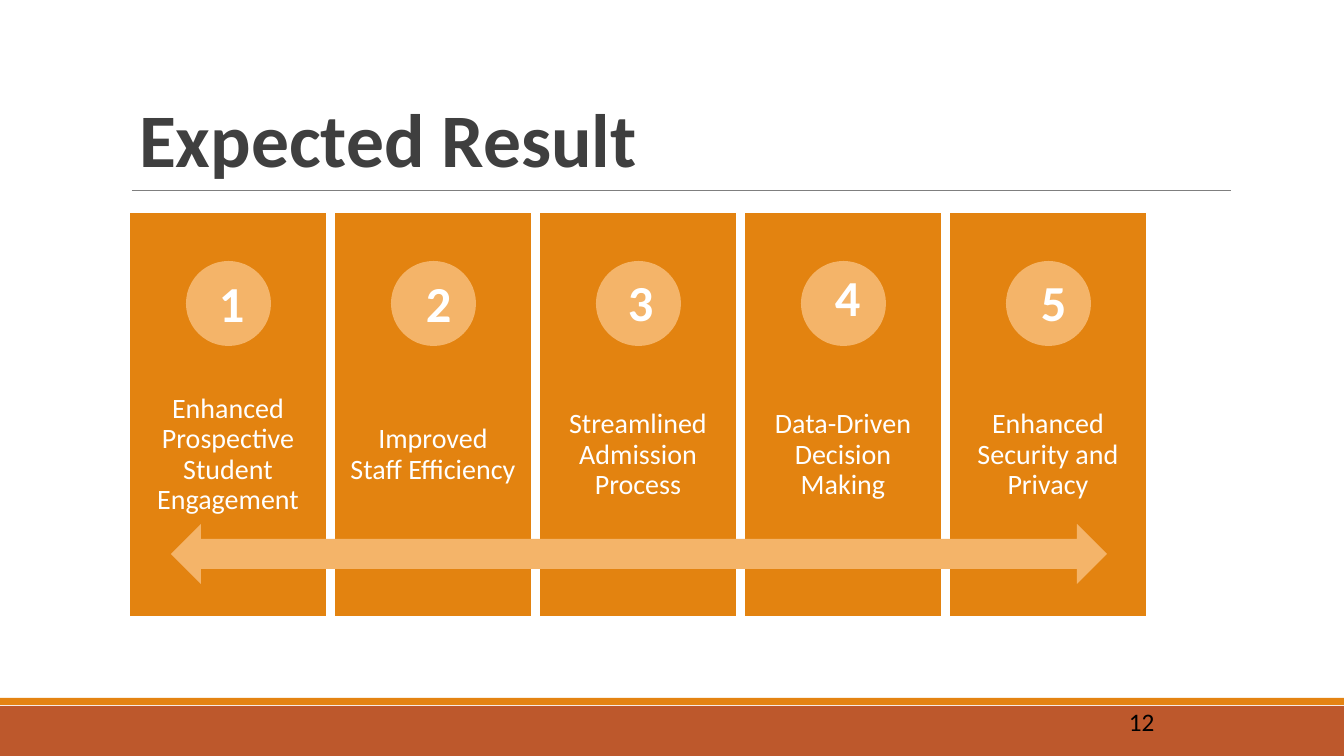
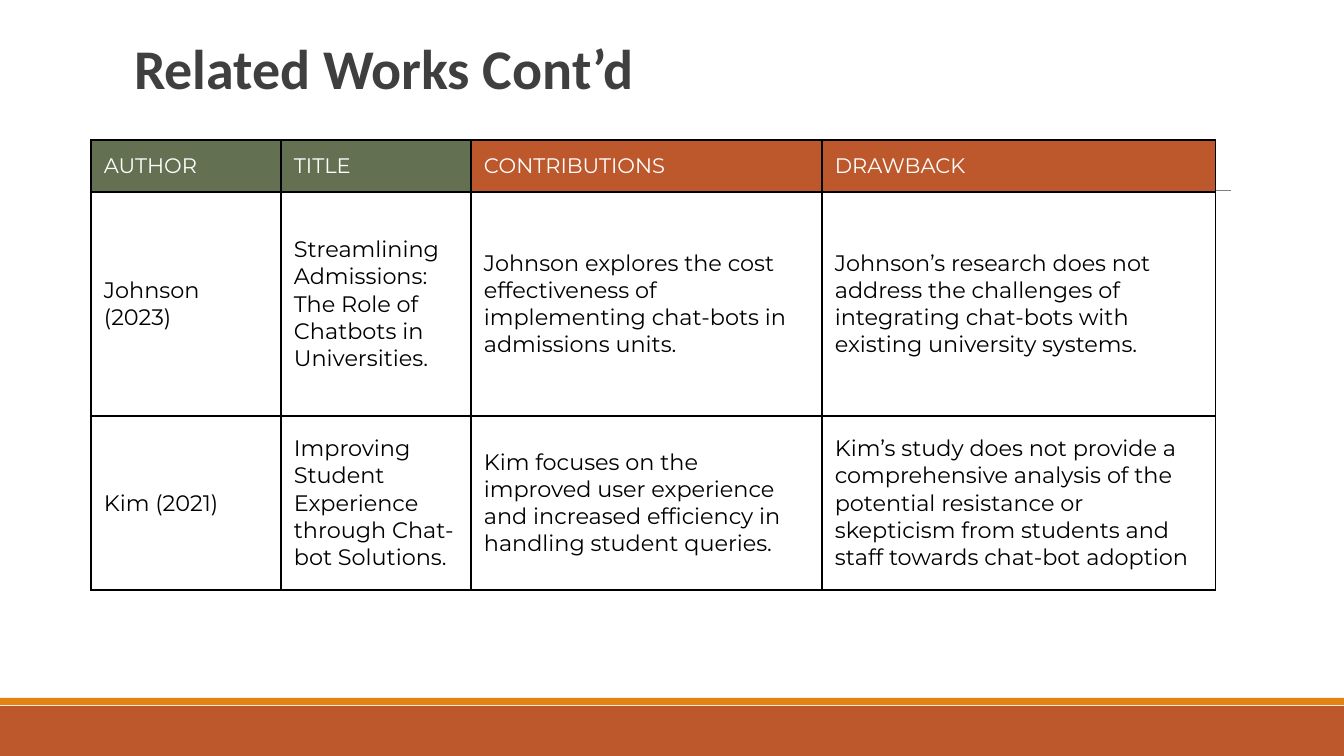
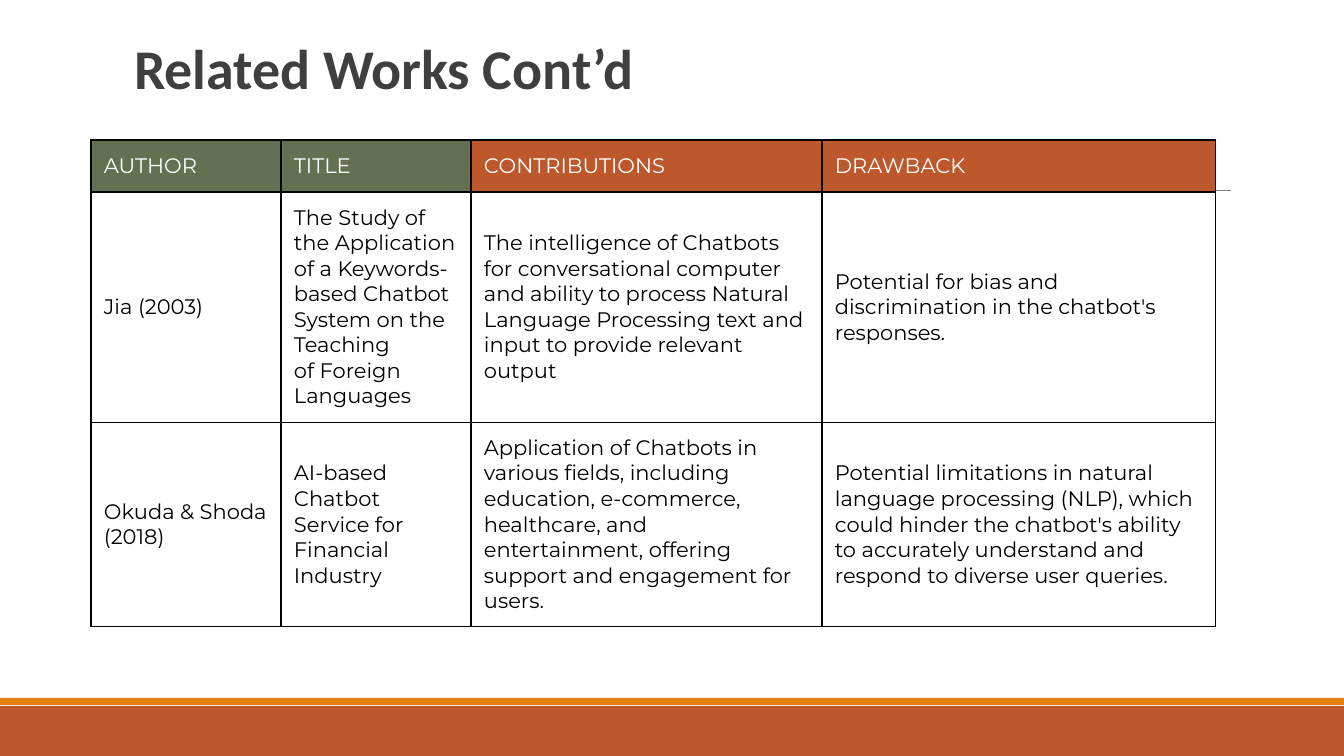
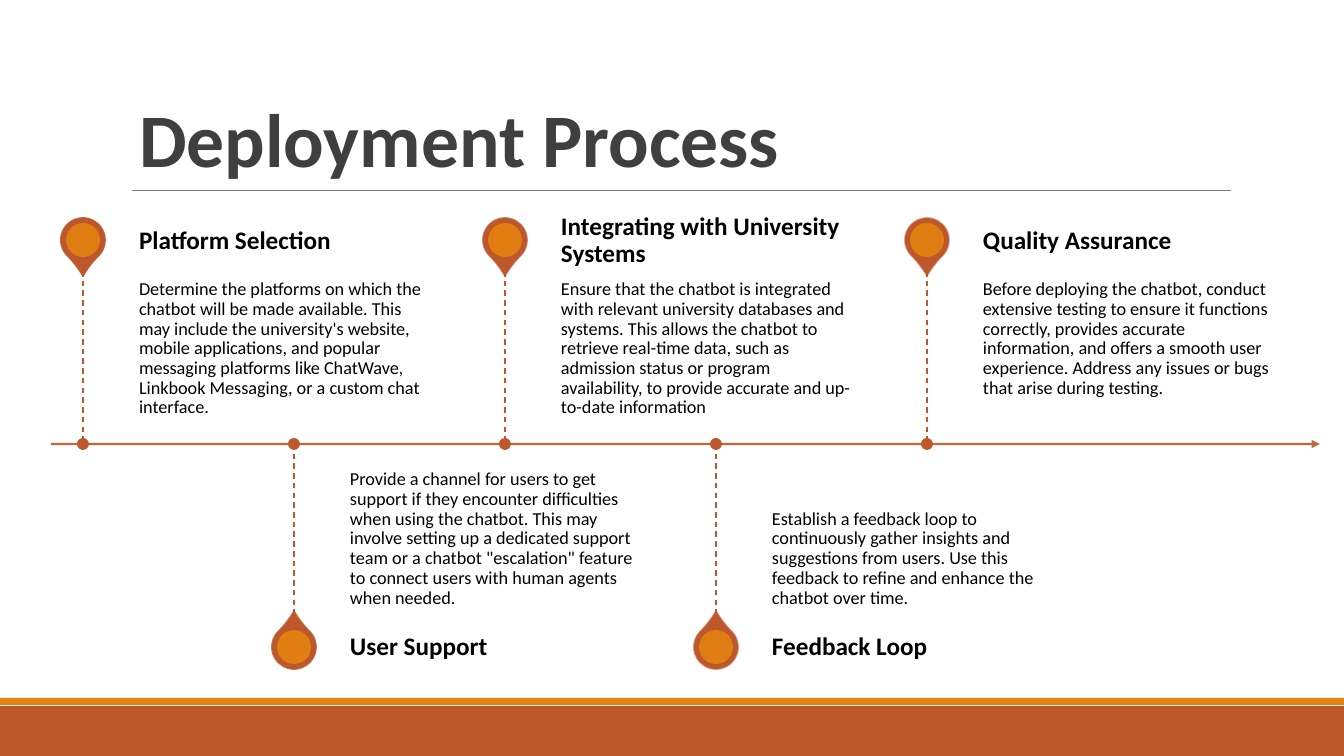
from dataclasses import dataclass
from typing import NamedTuple, Optional

from lxml.etree import SubElement
from pptx import Presentation
from pptx.dml.color import RGBColor
from pptx.enum.dml import MSO_LINE_DASH_STYLE as Dash
from pptx.enum.shapes import MSO_CONNECTOR as Connector
from pptx.enum.shapes import MSO_SHAPE as Preset
from pptx.enum.text import MSO_ANCHOR as Anchor
from pptx.enum.text import MSO_AUTO_SIZE as AutoSize
from pptx.enum.text import PP_ALIGN as Align
from pptx.oxml.ns import qn
from pptx.util import Emu, Pt

PX_PER_INCH = 100.8
SLIDE_WIDTH, SLIDE_HEIGHT = 1344, 756
TITLE_ONLY = 5

WHITE = RGBColor(0xFF, 0xFF, 0xFF)
BLACK = RGBColor(0x00, 0x00, 0x00)
CHARCOAL = RGBColor(0x3F, 0x3F, 0x3F)
GREY = RGBColor(0x7F, 0x7F, 0x7F)
RUST = RGBColor(0xBD, 0x58, 0x2C)
RUST_LINE = RGBColor(0xBB, 0x58, 0x2B)
ORANGE = RGBColor(0xE4, 0x83, 0x12)
CARD_ORANGE = RGBColor(0xE3, 0x83, 0x10)
PEACH = RGBColor(0xF4, 0xB4, 0x69)
OLIVE = RGBColor(0x63, 0x70, 0x52)


class Box(NamedTuple):
    left: int
    top: int
    width: int
    height: int


class Insets(NamedTuple):
    left: int
    top: int
    right: int
    bottom: int


@dataclass(frozen=True)
class TextStyle:
    size: int
    color: RGBColor = BLACK
    bold: bool = False
    font: str = "Calibri"
    align: Align = Align.LEFT
    anchor: Anchor = Anchor.TOP
    insets: Insets = Insets(10, 5, 10, 5)
    spacing: float = 1.0


class Outline(NamedTuple):
    color: RGBColor
    points: float
    opacity: int = 100


class Benefit(NamedTuple):
    text: str
    number_left: int
    number_top: int


class Work(NamedTuple):
    author: str
    title: str
    contributions: str
    drawback: str


class Step(NamedTuple):
    heading: str
    details: str


LARGE_TITLE = TextStyle(54, CHARCOAL, True, anchor=Anchor.BOTTOM, spacing=0.85)
SMALL_TITLE = TextStyle(40, CHARCOAL, True, insets=Insets(13, 13, 13, 13), spacing=0.85)
BENEFIT = TextStyle(20, WHITE, align=Align.CENTER, anchor=Anchor.MIDDLE,
                    insets=Insets(16, 16, 16, 16), spacing=0.9)
NUMBER = TextStyle(36, WHITE, True, align=Align.CENTER)
PAGE_NUMBER = TextStyle(18)
HEADING = TextStyle(18, bold=True, anchor=Anchor.MIDDLE, insets=Insets(0, 0, 12, 0), spacing=0.9)
DETAILS_ABOVE = TextStyle(13, insets=Insets(0, 9, 9, 14), spacing=0.9)
DETAILS_BELOW = TextStyle(13, anchor=Anchor.BOTTOM, insets=Insets(0, 14, 0, 9), spacing=0.9)

BENEFITS = [
    Benefit("Enhanced Prospective Student Engagement", 209, 267),
    Benefit("Improved Staff Efficiency", 416, 267),
    Benefit("Streamlined Admission Process", 618, 266),
    Benefit("Data-Driven Decision Making", 825, 261),
    Benefit("Enhanced Security and Privacy", 1031, 266),
]

TABLE_HEADER = Work("AUTHOR", "TITLE", "CONTRIBUTIONS", "DRAWBACK")
HEADER_FILLS = (OLIVE, OLIVE, RUST, RUST)
COLUMN_WIDTHS = (190, 190, 351, 394)
ROW_HEIGHTS = (52, 224, 174)

CHATBOT_ADMISSIONS = [
    Work("Johnson (2023)",
         "Streamlining Admissions: The Role of Chatbots in Universities.",
         "Johnson explores the cost effectiveness of implementing chat-bots in admissions units.",
         "Johnson’s research does not address the challenges of integrating chat-bots with "
         "existing university systems."),
    Work("Kim (2021)",
         "Improving Student Experience through Chat-bot Solutions.",
         "Kim focuses on the improved user experience and increased efficiency in handling "
         "student queries.",
         "Kim’s study does not provide a comprehensive analysis of the potential resistance or "
         "skepticism from students and staff towards chat-bot adoption"),
]

CHATBOT_FIELDS = [
    Work("Jia (2003)",
         "The Study of the Application of a Keywords-based Chatbot System on the Teaching\n"
         "of Foreign Languages",
         "The intelligence of Chatbots for conversational computer and ability to process "
         "Natural Language Processing text and input to provide relevant output",
         "Potential for bias and discrimination in the chatbot's responses."),
    Work("Okuda & Shoda (2018)",
         "AI-based Chatbot Service for Financial Industry",
         "Application of Chatbots in various fields, including education, e-commerce, "
         "healthcare, and entertainment, offering support and engagement for users.",
         "Potential limitations in natural language processing (NLP), which could hinder the "
         "chatbot's ability to accurately understand and respond to diverse user queries."),
]

STEPS = [
    Step("Platform Selection",
         "Determine the platforms on which the chatbot will be made available. This may include "
         "the university's website, mobile applications, and popular messaging platforms like "
         "ChatWave, Linkbook Messaging, or a custom chat interface."),
    Step("User Support",
         "Provide a channel for users to get support if they encounter difficulties when using "
         "the chatbot. This may involve setting up a dedicated support team or a chatbot "
         "\"escalation\" feature to connect users with human agents when needed."),
    Step("Integrating with University Systems",
         "Ensure that the chatbot is integrated with relevant university databases and systems. "
         "This allows the chatbot to retrieve real-time data, such as admission status or "
         "program availability, to provide accurate and up-to-date information"),
    Step("Feedback Loop",
         "Establish a feedback loop to continuously gather insights and suggestions from users. "
         "Use this feedback to refine and enhance the chatbot over time."),
    Step("Quality Assurance",
         "Before deploying the chatbot, conduct extensive testing to ensure it functions "
         "correctly, provides accurate information, and offers a smooth user experience. "
         "Address any issues or bugs that arise during testing."),
]


def px(length: int) -> Emu:
    return Emu(round(length * 914400 / PX_PER_INCH))


def emu_box(box: Box) -> list[Emu]:
    return [px(length) for length in box]


def centred(x: int, y: int, size: int) -> Box:
    return Box(x - size // 2, y - size // 2, size, size)


def set_opacity(holder, percent: int) -> None:
    """Make every colour inside an XML element partly transparent."""
    if percent < 100:
        for color in holder.iter(qn("a:srgbClr")):
            SubElement(color, qn("a:alpha")).set("val", str(percent * 1000))


def format_paragraphs(frame, style: TextStyle) -> None:
    for paragraph in frame.paragraphs:
        paragraph.alignment = style.align
        paragraph.line_spacing = style.spacing
        paragraph.font.name = style.font
        paragraph.font.size = Pt(style.size)
        paragraph.font.bold = style.bold
        paragraph.font.color.rgb = style.color


def write(frame, text: str, style: TextStyle) -> None:
    frame.text = text
    frame.word_wrap = True
    frame.auto_size = AutoSize.NONE
    frame.vertical_anchor = style.anchor
    (frame.margin_left, frame.margin_top,
     frame.margin_right, frame.margin_bottom) = [px(inset) for inset in style.insets]
    format_paragraphs(frame, style)


def add_text(slide, box: Box, text: str, style: TextStyle) -> None:
    write(slide.shapes.add_textbox(*emu_box(box)).text_frame, text, style)


def add_filled(slide, preset: Preset, box: Box, fill: RGBColor,
               outline: Optional[Outline] = None, opacity: int = 100):
    shape = slide.shapes.add_shape(preset, *emu_box(box))
    shape.shadow.inherit = False
    shape.fill.solid()
    shape.fill.fore_color.rgb = fill
    set_opacity(shape.element.spPr, opacity)
    if outline is None:
        shape.line.fill.background()
    else:
        shape.line.color.rgb = outline.color
        shape.line.width = Pt(outline.points)
        set_opacity(shape.element.spPr.find(qn("a:ln")), outline.opacity)
    return shape


def add_line(slide, start: tuple[int, int], end: tuple[int, int], outline: Outline,
             dashed: bool = False, arrow: bool = False):
    line = slide.shapes.add_connector(
        Connector.STRAIGHT, *[px(length) for length in (*start, *end)])
    line.line.color.rgb = outline.color
    line.line.width = Pt(outline.points)
    if dashed:
        line.line.dash_style = Dash.DASH
    properties = line.element.spPr
    stroke = properties.find(qn("a:ln"))
    set_opacity(stroke, outline.opacity)
    if arrow:
        SubElement(stroke, qn("a:tailEnd")).set("type", "triangle")
    SubElement(properties, qn("a:effectLst"))
    return line


def add_shared_bands(slide) -> None:
    """Draw the footer bands and title rule, then move them into the slide's layout."""
    bands = [
        add_filled(slide, Preset.RECTANGLE, Box(0, 706, SLIDE_WIDTH, 50), RUST),
        add_filled(slide, Preset.RECTANGLE, Box(0, 698, SLIDE_WIDTH, 7), ORANGE),
        add_line(slide, (132, 191), (1231, 191), Outline(GREY, 0.75)),
    ]
    layout_tree = slide.slide_layout.shapes.element
    for order, band in enumerate(bands):
        band.element.xpath(".//p:cNvPr")[0].set("id", str(100 + order))
        layout_tree.insert(2 + order, band.element)


def set_title(slide, text: str, box: Box, style: TextStyle) -> None:
    title = slide.shapes.title
    title.left, title.top, title.width, title.height = emu_box(box)
    write(title.text_frame, text, style)


def build_expected_result(slide) -> None:
    set_title(slide, "Expected Result", Box(129, 15, 1078, 173), LARGE_TITLE)
    first_left, pitch, width = 129, 205, 198
    for index, benefit in enumerate(BENEFITS):
        left = first_left + index * pitch
        add_filled(slide, Preset.RECTANGLE, Box(left, 212, width, 405), CARD_ORANGE,
                   Outline(WHITE, 1.25))
        add_text(slide, Box(left, 374, width, 162), benefit.text, BENEFIT)
        add_filled(slide, Preset.OVAL, Box(left + 57, 261, 85, 85), PEACH)
    add_filled(slide, Preset.LEFT_RIGHT_ARROW, Box(171, 524, 936, 60), PEACH)
    for number, benefit in enumerate(BENEFITS, start=1):
        add_text(slide, Box(benefit.number_left, benefit.number_top, 38, 72),
                 str(number), NUMBER)
    add_text(slide, Box(1119, 701, 182, 40), "12", PAGE_NUMBER)


def add_borders(cell) -> None:
    properties = cell._tc.get_or_add_tcPr()
    for side in ("lnL", "lnR", "lnT", "lnB"):
        border = SubElement(properties, qn(f"a:{side}"))
        border.set("w", str(Pt(1)))
        fill = SubElement(border, qn("a:solidFill"))
        SubElement(fill, qn("a:srgbClr")).set("val", str(BLACK))


def format_cell(cell, text: str, style: TextStyle, fill: Optional[RGBColor]) -> None:
    cell.text = text
    cell.vertical_anchor = Anchor.MIDDLE
    cell.margin_left = cell.margin_right = cell.margin_top = cell.margin_bottom = px(13)
    format_paragraphs(cell.text_frame, style)
    add_borders(cell)
    if fill is None:
        cell.fill.background()
    else:
        cell.fill.solid()
        cell.fill.fore_color.rgb = fill


def build_related_works(slide, works: list[Work], body_size: int) -> None:
    set_title(slide, "Related Works Cont’d", Box(121, 31, 1109, 101), SMALL_TITLE)
    box = Box(91, 140, sum(COLUMN_WIDTHS), sum(ROW_HEIGHTS))
    table = slide.shapes.add_table(
        len(ROW_HEIGHTS), len(COLUMN_WIDTHS), *emu_box(box)).table
    table.first_row = table.horz_banding = False
    for column, width in zip(table.columns, COLUMN_WIDTHS):
        column.width = px(width)
    for row, height in zip(table.rows, ROW_HEIGHTS):
        row.height = px(height)

    header_style = TextStyle(15, WHITE, font="Montserrat")
    body_style = TextStyle(body_size, font="Montserrat")
    for cell, text, fill in zip(table.rows[0].cells, TABLE_HEADER, HEADER_FILLS):
        format_cell(cell, text, header_style, fill)
    for row_index, work in enumerate(works, start=1):
        for cell, text in zip(table.rows[row_index].cells, work):
            format_cell(cell, text, body_style, None)


def add_step(slide, step: Step, x: int, axis_y: int, above: bool, opacity: int) -> None:
    """Draw one pin with its stem, dot and texts on one side of the axis."""
    reach, heading_height, text_width = 173, 60, 301
    text_left = x + 56
    if above:
        stem_end = axis_y - reach
        pin_y, rotation, details_style = stem_end - 31, 135, DETAILS_ABOVE
        heading_top, details_top = stem_end - heading_height, stem_end
    else:
        stem_end = axis_y + reach
        pin_y, rotation, details_style = stem_end + 30, 315, DETAILS_BELOW
        heading_top, details_top = stem_end, axis_y

    pin = add_filled(slide, Preset.TEAR, centred(x, pin_y, 44), RUST,
                     Outline(RUST_LINE, 1.25, opacity))
    pin.adjustments[0] = 1.15
    pin.rotation = rotation
    add_filled(slide, Preset.OVAL, centred(x, pin_y, 34), ORANGE, opacity=90)
    add_text(slide, Box(text_left, details_top, text_width, reach), step.details, details_style)
    add_text(slide, Box(text_left, heading_top, text_width, heading_height),
             step.heading, HEADING)
    add_line(slide, (x, min(axis_y, stem_end)), (x, max(axis_y, stem_end)),
             Outline(RUST, 1), dashed=True)
    add_filled(slide, Preset.OVAL, centred(x, axis_y, 12), RUST)


def build_deployment_process(slide) -> None:
    set_title(slide, "Deployment Process", Box(129, 94, 1078, 94), LARGE_TITLE)
    axis_y, first_x, pitch = 444, 83, 211
    add_line(slide, (51, axis_y), (1320, axis_y), Outline(RUST_LINE, 1.5, 90), arrow=True)
    for index, step in enumerate(STEPS):
        add_step(slide, step, first_x + index * pitch, axis_y,
                 above=index % 2 == 0, opacity=90 - 10 * index)


def main() -> None:
    deck = Presentation()
    deck.slide_width, deck.slide_height = px(SLIDE_WIDTH), px(SLIDE_HEIGHT)
    layout = deck.slide_layouts[TITLE_ONLY]
    result, admissions, fields, deployment = [deck.slides.add_slide(layout) for _ in range(4)]
    add_shared_bands(result)
    build_expected_result(result)
    build_related_works(admissions, CHATBOT_ADMISSIONS, body_size=16)
    build_related_works(fields, CHATBOT_FIELDS, body_size=15)
    build_deployment_process(deployment)
    deck.save("out.pptx")


if __name__ == "__main__":
    main()
